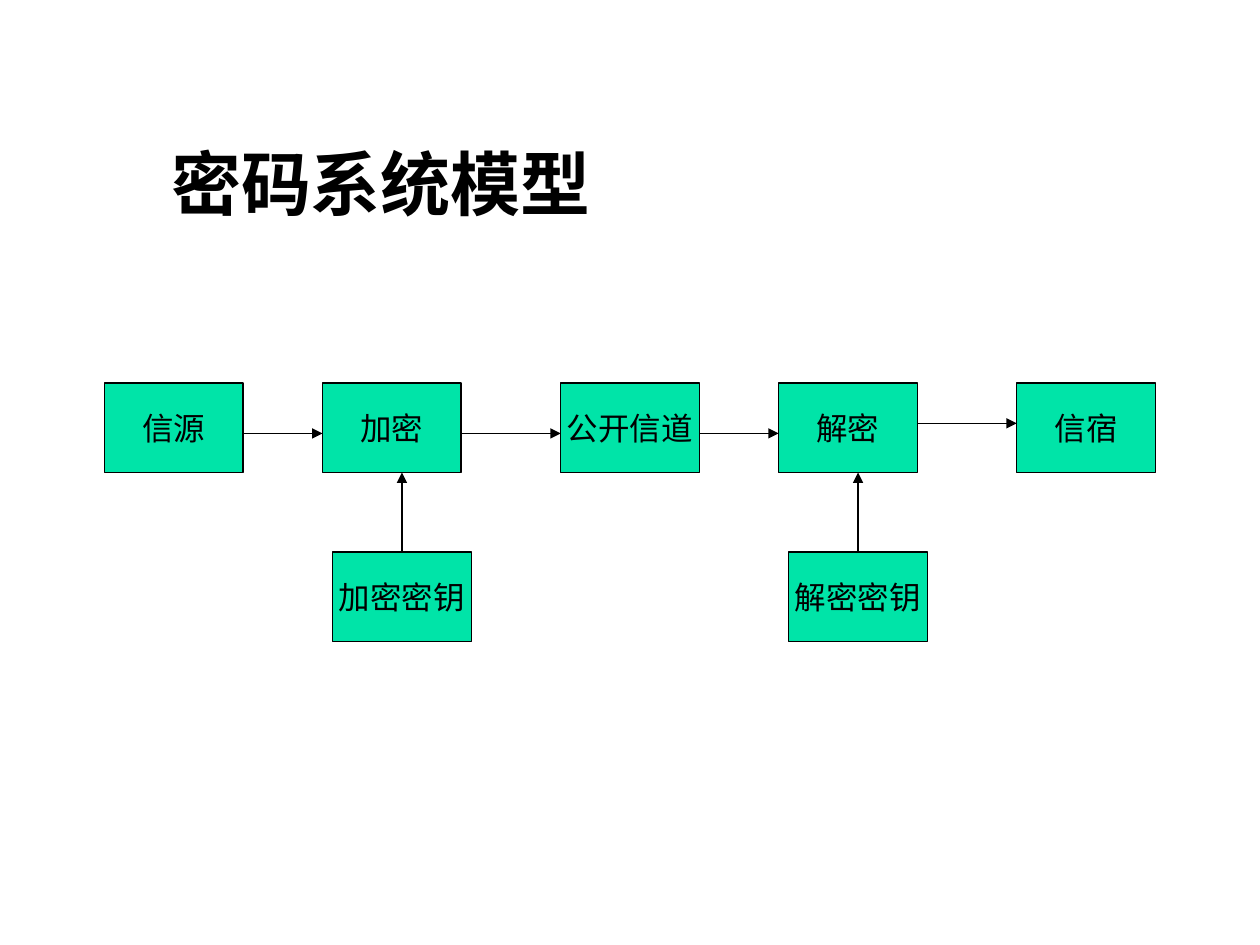
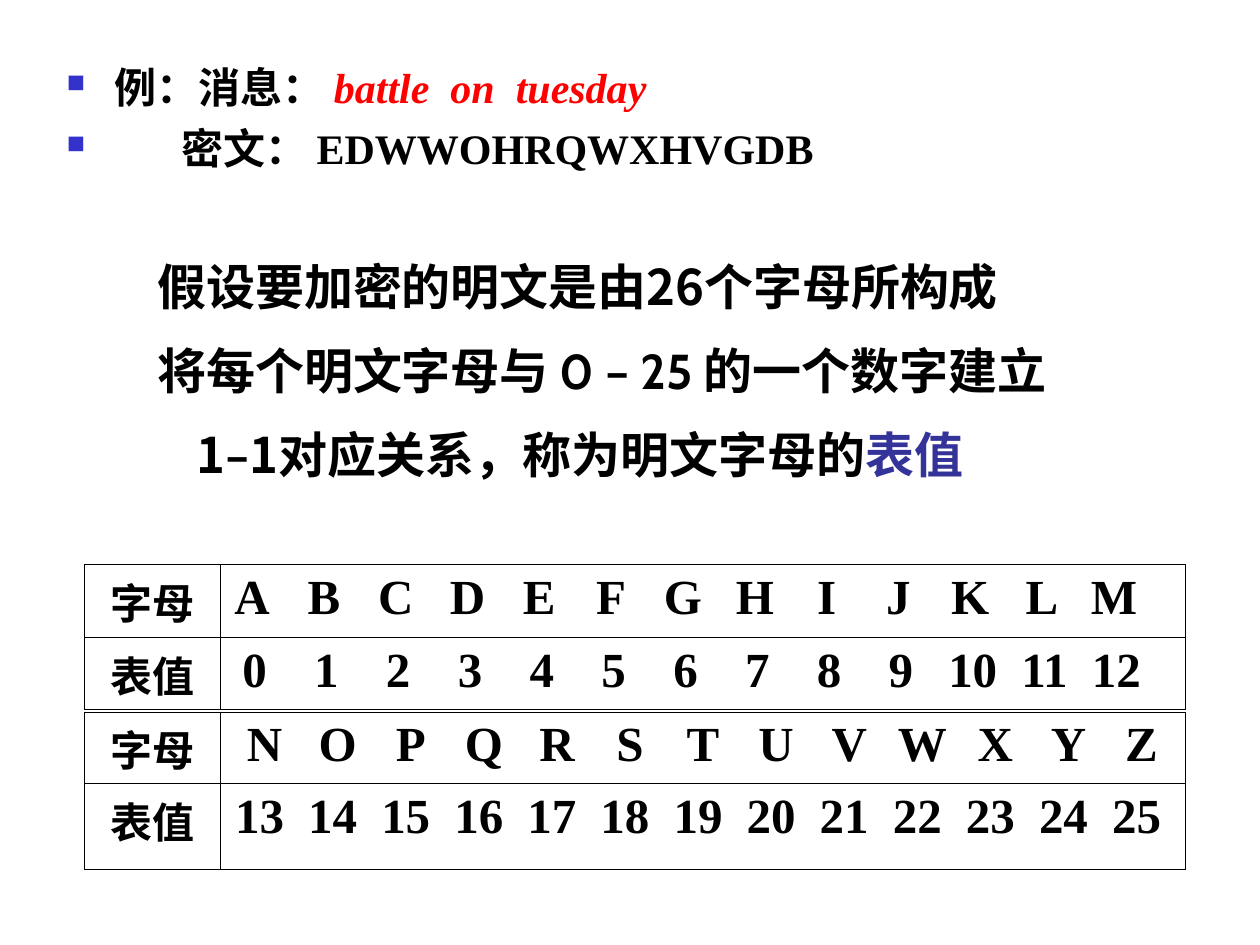
from itertools import pairwise

from pptx import Presentation
from pptx.dml.color import RGBColor
from pptx.enum.shapes import MSO_CONNECTOR, MSO_SHAPE
from pptx.enum.text import MSO_ANCHOR as ANCHOR, PP_ALIGN as ALIGN
from pptx.oxml.ns import qn
from pptx.util import Inches, Pt
from lxml.etree import SubElement

# Shared colours and fonts
BLACK = RGBColor(0x00, 0x00, 0x00)
GREEN = RGBColor(0x00, 0xE4, 0xA8)
RED = RGBColor(0xFF, 0x00, 0x00)
INDIGO = RGBColor(0x33, 0x33, 0x99)
BULLET_BLUE = "3333CC"
CABIN, NOTO, ARIAL, TIMES = "Cabin", "Noto Sans CJK SC", "Arial", "Times New Roman"

# Diagram measures, in inches
BOX_W, BOX_H = 1.1, 0.71
CHAIN_Y, KEY_Y = 3.04, 4.38


def add_run(p, text, size, font, color=BLACK, bold=True, italic=False):
    r = p.add_run()
    r.text = text
    f = r.font
    f.size, f.name, f.bold, f.italic = Pt(size), font, bold, italic
    f.color.rgb = color
    east_asian = font if font == CABIN else NOTO
    SubElement(r._r.get_or_add_rPr(), qn("a:ea"), typeface=east_asian)


def add_text(s, x, y, w, h, anchor=ANCHOR.TOP):
    tf = s.shapes.add_textbox(Inches(x), Inches(y), Inches(w), Inches(h)).text_frame
    tf.word_wrap = True
    tf.vertical_anchor = anchor
    return tf


def set_indent(p, left, first=0.0):
    pPr = p._p.get_or_add_pPr()
    pPr.set("marL", str(Inches(left)))
    pPr.set("indent", str(Inches(first)))
    return pPr


def add_bullet(p, text_left):
    """Square bullet at the box edge, text starting at text_left."""
    pPr = set_indent(p, text_left, -text_left)
    color = SubElement(pPr, qn("a:buClr"))
    SubElement(color, qn("a:srgbClr"), val=BULLET_BLUE)
    SubElement(pPr, qn("a:buSzPct"), val="60000")
    SubElement(pPr, qn("a:buChar"), char="■")


def add_box(s, x, y, label):
    sp = s.shapes.add_shape(MSO_SHAPE.RECTANGLE, Inches(x), Inches(y),
                            Inches(BOX_W), Inches(BOX_H))
    sp.shadow.inherit = False
    sp.fill.solid()
    sp.fill.fore_color.rgb = GREEN
    sp.line.color.rgb = BLACK
    sp.line.width = Pt(0.75)
    tf = sp.text_frame
    tf.word_wrap = False
    tf.vertical_anchor = ANCHOR.MIDDLE
    p = tf.paragraphs[0]
    p.alignment = ALIGN.CENTER
    add_run(p, label, 18, ARIAL, bold=False)


def add_arrow(s, x1, y1, x2, y2):
    c = s.shapes.add_connector(MSO_CONNECTOR.STRAIGHT, Inches(x1), Inches(y1),
                               Inches(x2), Inches(y2))
    c.line.color.rgb = BLACK
    c.line.width = Pt(0.75)
    SubElement(c.line._get_or_add_ln(), qn("a:tailEnd"), type="triangle")
    SubElement(c._element.spPr, qn("a:effectLst"))


def border_cell(cell):
    tcPr = cell._tc.get_or_add_tcPr()
    for i, side in enumerate(("lnL", "lnR", "lnT", "lnB")):
        ln = tcPr.makeelement(qn(f"a:{side}"), {"w": str(Pt(0.45))})
        fill = SubElement(ln, qn("a:solidFill"))
        SubElement(fill, qn("a:srgbClr"), val=str(BLACK))
        tcPr.insert(i, ln)


def add_value_table(s, y, heights, rows):
    """Each row: label, entries, centre of the first entry, pitch."""
    table = s.shapes.add_table(len(rows), 2, Inches(0.67), Inches(y),
                               Inches(8.74), Inches(sum(heights))).table
    table.first_row = table.horz_banding = False
    for col, width in zip(table.columns, (1.08, 7.66)):
        col.width = Inches(width)
    for i, (label, entries, start, pitch) in enumerate(rows):
        table.rows[i].height = Inches(heights[i])
        label_cell, value_cell = table.cell(i, 0), table.cell(i, 1)
        for cell in (label_cell, value_cell):
            cell.fill.background()
            cell.margin_bottom = Inches(0.02)
            border_cell(cell)
        p = label_cell.text_frame.paragraphs[0]
        p.alignment = ALIGN.CENTER
        add_run(p, label, 24, TIMES)
        # Entries hang on evenly spaced centre tabs
        p = value_cell.text_frame.paragraphs[0]
        tabs = SubElement(p._p.get_or_add_pPr(), qn("a:tabLst"))
        for n in range(len(entries)):
            SubElement(tabs, qn("a:tab"), pos=str(Inches(start + n * pitch)), algn="ctr")
        add_run(p, "".join(f"\t{e}" for e in entries), 28, TIMES)


def build_model_slide(s):
    # Title
    tf = add_text(s, 1.26, 0.23, 8.52, 1.6, ANCHOR.BOTTOM)
    add_run(tf.paragraphs[0], "密码系统模型", 40, CABIN)

    # Chain from source to destination
    chain = {"信源": 0.83, "加密": 2.56, "公开信道": 4.45, "解密": 6.18, "信宿": 8.07}
    for label, x in chain.items():
        add_box(s, x, CHAIN_Y, label)
    arrow_ys = (3.44, 3.44, 3.44, 3.36)
    for (x1, x2), y in zip(pairwise(chain.values()), arrow_ys):
        add_arrow(s, x1 + BOX_W, y, x2, y)

    # Keys below, pointing up
    for label, x in (("加密密钥", 2.64), ("解密密钥", 6.26)):
        add_box(s, x, KEY_Y, label)
        centre = x + BOX_W / 2
        add_arrow(s, centre, KEY_Y, centre, CHAIN_Y + BOX_H)


def build_example_slide(s):
    # Message and ciphertext
    tf = add_text(s, 0.43, 0.44, 9.2, 1.1)
    p = tf.paragraphs[0]
    add_bullet(p, 0.38)
    add_run(p, "例：消息： ", 24, CABIN)
    add_run(p, "battle  on  tuesday", 24, TIMES, RED, italic=True)
    p = tf.add_paragraph()
    add_bullet(p, 0.91)
    p.space_before = Pt(6)
    add_run(p, "密文： ", 24, CABIN)
    add_run(p, "EDWWOHRQWXHVGDB", 24, TIMES)

    # Explanation lines: left, top, width, indent, runs
    lines = (
        (0.92, 1.99, 7.75, 0.23, (("假设要加密的明文是由26个字母所构成", NOTO, BLACK),)),
        (0.92, 2.65, 8.25, 0.23, (("将每个明文字母与 ", NOTO, BLACK),
                                  ("0 – 25 ", CABIN, BLACK),
                                  ("的一个数字建立", NOTO, BLACK))),
        (1.46, 3.32, 7.58, 0, (("1", NOTO, BLACK), ("–", CABIN, BLACK),
                               ("1对应关系，称为明文字母的", NOTO, BLACK),
                               ("表值", CABIN, INDIGO))),
    )
    for x, y, w, indent, runs in lines:
        p = add_text(s, x, y, w, 0.57).paragraphs[0]
        set_indent(p, indent)
        for text, font, color in runs:
            add_run(p, text, 28, font, color)

    # Letter and value tables
    add_value_table(s, 4.48, (0.58, 0.57), (
        ("字母", "ABCDEFGHIJKLM", 0.15, 0.57),
        ("表值", range(13), 0.17, 0.57)))
    add_value_table(s, 5.65, (0.57, 0.68), (
        ("字母", "NOPQRSTUVWXYZ", 0.25, 0.58),
        ("表值", range(13, 26), 0.21, 0.58)))


def main():
    prs = Presentation()
    prs.slide_width, prs.slide_height = Inches(10), Inches(7.5)
    for build in (build_model_slide, build_example_slide):
        build(prs.slides.add_slide(prs.slide_layouts[6]))
    prs.save("out.pptx")


if __name__ == "__main__":
    main()
